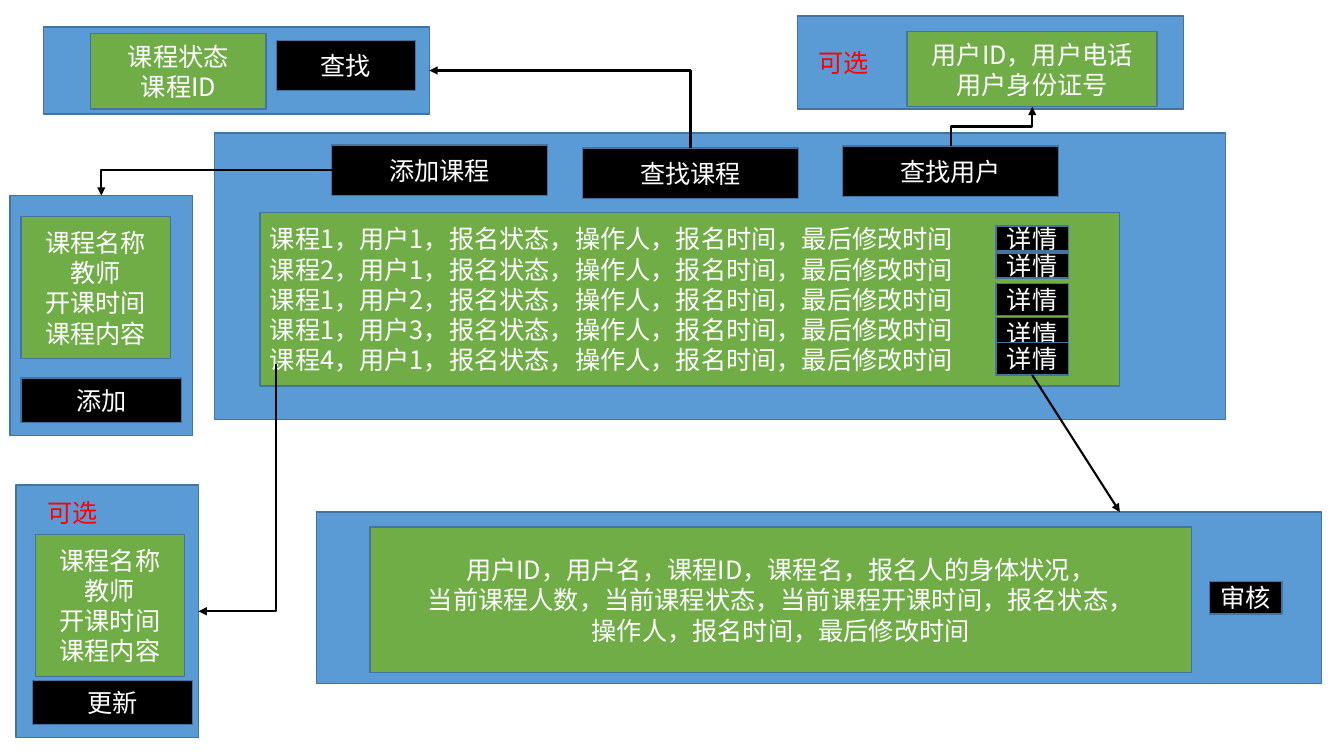
from dataclasses import dataclass

from pptx import Presentation, util as u
from pptx.dml.color import RGBColor
from pptx.enum import shapes, text
from pptx.oxml.ns import qn
from lxml import etree

# Grid of square cells, three to the inch
COLUMNS, ROWS = 40, 22.5
CELL = u.Inches(1) / 3
TOP, LEFT, BOTTOM, RIGHT = range(4)


@dataclass(frozen=True)
class Theme:
    panel: str = "5B9BD5"
    fields: str = "70AD47"
    button: str = "000000"
    outline: str = "43739E"
    arrow: str = "000000"
    light: str = "FFFFFF"
    note: str = "FF0000"
    font: str = "Noto Sans CJK SC"
    size: int = 18
    outline_width: float = 1
    arrow_width: float = 1.5


THEME = Theme()
COURSE_FIELDS = ["课程名称", "教师", "开课时间", "课程内容"]


def cells(*values):
    return [round(value * CELL) for value in values]


def write(box, lines, color, align):
    frame = box.text_frame
    frame.word_wrap = True
    for index, line in enumerate(lines):
        para = frame.add_paragraph() if index else frame.paragraphs[0]
        para.text = line
        para.alignment = align
        font = para.font
        font.name, font.size = THEME.font, u.Pt(THEME.size)
        font.color.rgb = RGBColor.from_string(color)
        # East Asian typeface
        properties = para._p.pPr.find(qn("a:defRPr"))
        etree.SubElement(properties, qn("a:ea")).set("typeface", THEME.font)


# Boxes
def rectangle(page, area, fill, lines=(), align=text.PP_ALIGN.CENTER):
    box = page.shapes.add_shape(shapes.MSO_SHAPE.RECTANGLE, *cells(*area))
    box.shadow.inherit = False
    box.fill.solid()
    box.fill.fore_color.rgb = RGBColor.from_string(fill)
    box.line.color.rgb = RGBColor.from_string(THEME.outline)
    box.line.width = u.Pt(THEME.outline_width)
    box.text_frame.vertical_anchor = text.MSO_ANCHOR.MIDDLE
    write(box, lines, THEME.light, align)
    return box


def panel(page, *area):
    return rectangle(page, area, THEME.panel)


def fields(page, area, lines, align=text.PP_ALIGN.CENTER):
    return rectangle(page, area, THEME.fields, lines, align)


def button(page, area, label):
    return rectangle(page, area, THEME.button, [label])


def optional_note(page, left, top):
    box = page.shapes.add_textbox(*cells(left, top, 4.2, 1.2))
    write(box, ["可选"], THEME.note, text.PP_ALIGN.LEFT)


# Arrows
def side(box, site):
    x = {LEFT: 0, RIGHT: 1}.get(site, 0.5)
    y = {TOP: 0, BOTTOM: 1}.get(site, 0.5)
    return round(box.left + box.width * x), round(box.top + box.height * y)


def arrow(page, start, end, kind=shapes.MSO_CONNECTOR.STRAIGHT):
    """Each end is a (box, site) pair or a point in cells."""
    def point(place):
        return cells(*place) if isinstance(place[0], (int, float)) else side(*place)

    line = page.shapes.add_connector(kind, *point(start), *point(end))
    for place, join in ((start, line.begin_connect), (end, line.end_connect)):
        if not isinstance(place[0], (int, float)):
            join(*place)
    line.line.color.rgb = RGBColor.from_string(THEME.arrow)
    line.line.width = u.Pt(THEME.arrow_width)
    etree.SubElement(line.line._get_or_add_ln(), qn("a:tailEnd")).set("type", "triangle")
    etree.SubElement(line._element.spPr, qn("a:effectLst"))
    return line


def elbow(page, start, end, turn, flips="", bends=1):
    line = arrow(page, start, end, shapes.MSO_CONNECTOR.ELBOW)
    properties = line._element.spPr
    properties.find(qn("a:prstGeom")).set("prst", f"bentConnector{bends + 1}")
    # The frame is stored unturned about its own centre
    if turn % 180:
        middle_x, middle_y = line.left + line.width // 2, line.top + line.height // 2
        line.width, line.height = line.height, line.width
        line.left, line.top = middle_x - line.width // 2, middle_y - line.height // 2
    frame = properties.find(qn("a:xfrm"))
    frame.set("rot", str(turn * 60000))
    for axis in "HV":
        frame.set("flip" + axis, "1" if axis in flips else "0")


# Sections of the page
def course_list(page):
    panel(page, 6.39, 3.96, 30.09, 8.52)
    entries = [(1, 1), (2, 1), (1, 2), (1, 3), (4, 1)]
    fields(page, (7.74, 6.33, 25.59, 5.16),
           [f"课程{course}，用户{user}，报名状态，操作人，报名时间，最后修改时间"
            for course, user in entries], text.PP_ALIGN.LEFT)
    spans = [(6.72, 0.75), (7.53, 0.75), (8.43, 0.96), (9.45, 0.96), (10.2, 0.96)]
    details = [button(page, (29.64, top, 2.16, height), "详情") for top, height in spans]
    tools = [(9.87, 4.32, "添加课程"), (17.34, 4.41, "查找课程"), (25.08, 4.35, "查找用户")]
    return details[-1], [button(page, (left, top, 6.42, 1.5), label)
                         for left, top, label in tools]


def review(page):
    panel(page, 9.42, 15.24, 29.91, 5.1)
    fields(page, (11.01, 15.69, 24.45, 4.32), [
        "用户ID，用户名，课程ID，课程名，报名人的身体状况，",
        "当前课程人数，当前课程状态，当前课程开课时间，报名状态，",
        "操作人，报名时间，最后修改时间"])
    button(page, (36, 17.31, 2.16, 0.96), "审核")


def course_form(page, area, fields_at, button_at, label):
    form = panel(page, *area)
    fields(page, (*fields_at, 4.44, 4.23), COURSE_FIELDS)
    button(page, (*button_at, 4.77, 1.32), label)
    return form


def course_search(page):
    form = panel(page, 1.29, 0.81, 11.49, 2.58)
    fields(page, (2.7, 0.99, 5.22, 2.25), ["课程状态", "课程ID"])
    button(page, (8.22, 1.2, 4.14, 1.5), "查找")
    return form


def user_search(page):
    panel(page, 23.73, 0.48, 11.49, 2.76)
    criteria = fields(page, (27, 0.93, 7.44, 2.25), ["用户ID，用户电话", "用户身份证号"])
    optional_note(page, 24.06, 1.26)
    return criteria


def main():
    deck = Presentation()
    deck.slide_width, deck.slide_height = cells(COLUMNS, ROWS)
    page = deck.slides.add_slide(deck.slide_layouts[6])

    last_detail, (add_course, find_course, find_user) = course_list(page)
    review(page)
    add_form = course_form(page, (0.3, 5.82, 5.43, 7.14), (0.63, 6.45), (0.63, 11.25), "添加")
    update_form = course_form(page, (0.48, 14.43, 5.43, 7.53), (1.05, 15.9), (0.96, 20.25), "更新")
    optional_note(page, 1.11, 14.64)
    search_form = course_search(page)
    criteria = user_search(page)

    # Flow between the sections
    arrow(page, (last_detail, BOTTOM), (33.33, 15.24))
    elbow(page, (add_course, LEFT), (add_form, TOP), 180, "V")
    elbow(page, (find_course, TOP), (search_form, RIGHT), 270, "V")
    elbow(page, (8.22, 10.83), (update_form, RIGHT), 90)
    elbow(page, (find_user, TOP), (criteria, BOTTOM), 90, "HV", bends=2)

    deck.save("out.pptx")


if __name__ == "__main__":
    main()
